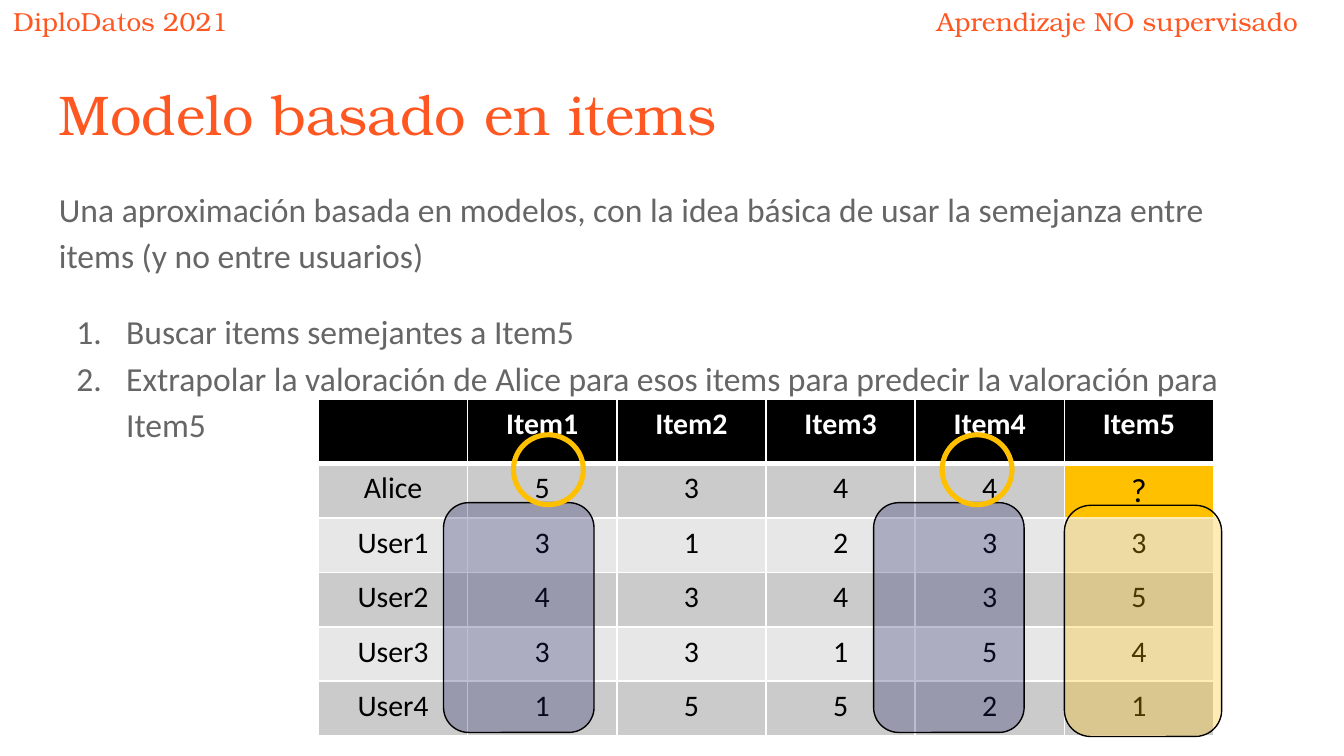
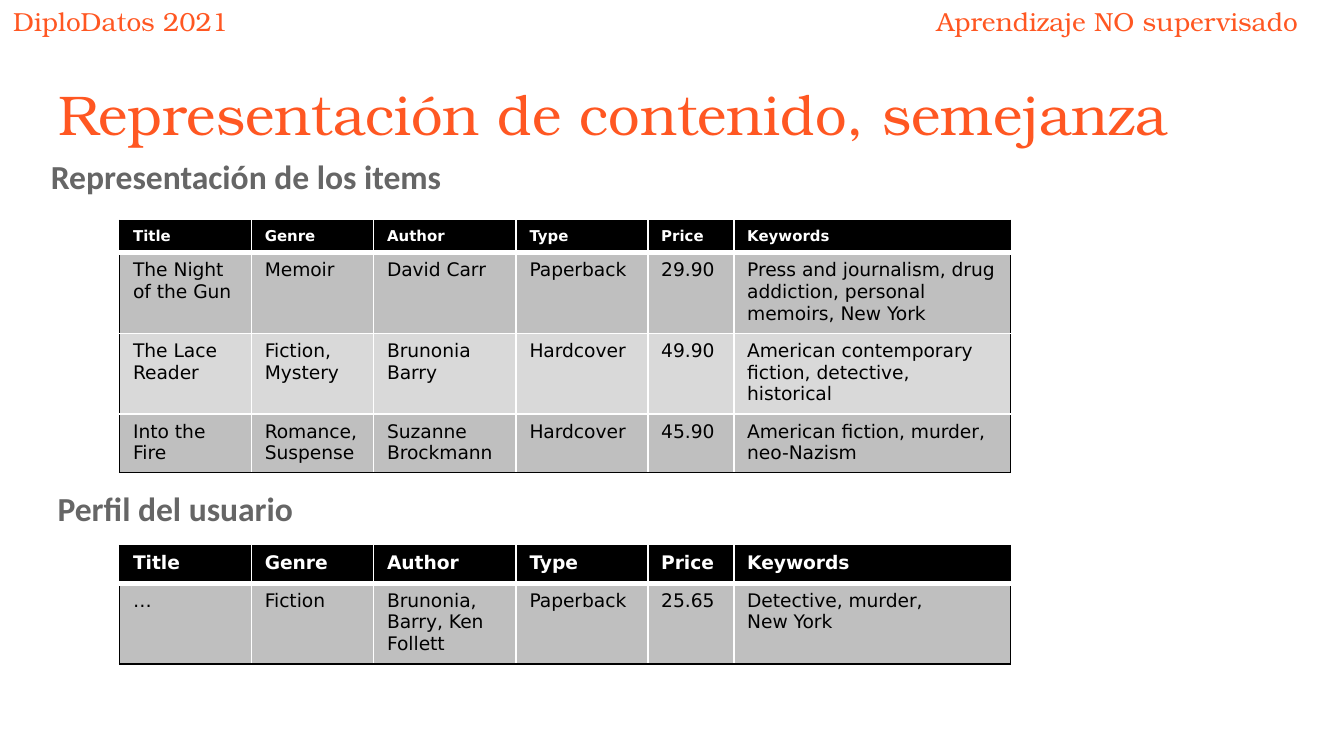
from lxml import etree
from pptx import Presentation, util as u
from pptx.dml.color import RGBColor
from pptx.enum import shapes, text
from pptx.oxml.ns import qn

# Square grid: 100 columns across the slide, 56.25 rows down
UNIT = u.Inches(10) // 100
COLUMNS, ROWS = 100, 56.25

ORANGE = RGBColor(0xFF, 0x57, 0x22)
GRAY = RGBColor(0x66, 0x66, 0x66)
BLACK = RGBColor(0, 0, 0)
WHITE = RGBColor(0xFF, 0xFF, 0xFF)
AMBER = RGBColor(0xFF, 0xC0, 0x00)
NAVY = RGBColor(0x22, 0x22, 0x68)
RATING_BANDS = (RGBColor(0xCB, 0xCB, 0xCB), RGBColor(0xE7, 0xE7, 0xE7))
BOOK_BANDS = (RGBColor(0xBF, 0xBF, 0xBF), RGBColor(0xD9, 0xD9, 0xD9))

SERIF, SANS, TABLE_SANS = "TeX Gyre Bonum", "Calibri", "DejaVu Sans"
THIN, THICK = 0.96, 3

RATINGS = [
    ["", "Item1", "Item2", "Item3", "Item4", "Item5"],
    ["Alice", "5", "3", "4", "4", "?"],
    ["User1", "3", "1", "2", "3", "3"],
    ["User2", "4", "3", "4", "3", "5"],
    ["User3", "3", "3", "1", "5", "4"],
    ["User4", "1", "5", "5", "2", "1"],
]
BOOK_HEADER = ["Title", "Genre", "Author", "Type", "Price", "Keywords"]
BOOKS = [
    BOOK_HEADER,
    ["The Night of the Gun", "Memoir", "David Carr", "Paperback", "29.90",
     "Press and journalism, drug addiction, personal memoirs, New York"],
    ["The Lace Reader", "Fiction, Mystery", "Brunonia Barry", "Hardcover", "49.90",
     "American contemporary fiction, detective, historical"],
    ["Into the Fire", "Romance, Suspense", "Suzanne Brockmann", "Hardcover", "45.90",
     "American fiction, murder, neo-Nazism"],
]
PROFILE = [
    BOOK_HEADER,
    ["…", "Fiction", "Brunonia, Barry, Ken Follett", "Paperback", "25.65",
     "Detective, murder,\vNew York"],
]
BOOK_COLUMNS = [9.8, 9.1, 10.6, 9.8, 6.4, 20.6]


def grid(*cells):
    return [round(cell * UNIT) for cell in cells]


def style(paragraph, font, size, color, bold=False):
    paragraph.font.name = font
    paragraph.font.size = u.Pt(size)
    paragraph.font.color.rgb = color
    paragraph.font.bold = bold


def add_text(slide, box, lines, font, size, color, bold=False, inset=1):
    frame = slide.shapes.add_textbox(*grid(*box)).text_frame
    frame.word_wrap = True
    frame.margin_left = frame.margin_right = UNIT
    frame.margin_top = frame.margin_bottom = round(inset * UNIT)
    frame.text = "\n".join(lines)
    for paragraph in frame.paragraphs:
        style(paragraph, font, size, color, bold)
    return frame


def number(paragraph, color):
    properties = paragraph._p.get_or_add_pPr()
    properties.set("marL", str(5 * UNIT))
    properties.set("indent", str(round(-3.7 * UNIT)))
    bullet_color = etree.SubElement(properties, qn("a:buClr"))
    etree.SubElement(bullet_color, qn("a:srgbClr"), val=str(color))
    # The numbering element precedes the run defaults in the schema
    numbering = etree.Element(qn("a:buAutoNum"), type="arabicPeriod")
    bullet_color.addnext(numbering)
    defaults = properties.find(qn("a:defRPr"))
    if defaults is not None:
        properties.append(defaults)


def set_borders(cell, borders):
    properties = cell._tc.get_or_add_tcPr()
    for side in "LRTB":
        color, width = borders[side]
        line = etree.SubElement(properties, qn(f"a:ln{side}"), w=str(u.Pt(width)))
        fill = etree.SubElement(line, qn("a:solidFill"))
        etree.SubElement(fill, qn("a:srgbClr"), val=str(color))


def add_grid_table(slide, corner, widths, heights, values, font, size, bands,
                   edge, header_size=None, align=text.PP_ALIGN.LEFT):
    """Table with a black header, banded rows and a coloured outer edge."""
    box = grid(*corner, sum(widths), sum(heights))
    table = slide.shapes.add_table(len(heights), len(widths), *box).table
    for column, width in zip(table.columns, grid(*widths)):
        column.width = width
    for row, height in zip(table.rows, grid(*heights)):
        row.height = height
    last_row, last_column = len(heights) - 1, len(widths) - 1
    for r, row in enumerate(values):
        header = r == 0
        for c, value in enumerate(row):
            cell = table.cell(r, c)
            cell.text = value
            paragraph = cell.text_frame.paragraphs[0]
            paragraph.alignment = align
            style(paragraph, font, (header_size or size) if header else size,
                  WHITE if header else BLACK, header)
            set_borders(cell, {
                "L": (edge if c == 0 else WHITE, THIN),
                "R": (edge if c == last_column else WHITE, THIN),
                "T": (edge if header else WHITE, THICK if r == 1 else THIN),
                "B": (edge if r == last_row else WHITE, THICK if header else THIN),
            })
            cell.fill.solid()
            cell.fill.fore_color.rgb = BLACK if header else bands[(r - 1) % 2]
    return table


def add_highlight(slide, box, color):
    shape = slide.shapes.add_shape(shapes.MSO_SHAPE.ROUNDED_RECTANGLE, *grid(*box))
    shape.shadow.inherit = False
    shape.fill.solid()
    shape.fill.fore_color.rgb = color
    fill_color = shape._element.spPr.find(qn("a:solidFill"))[0]
    etree.SubElement(fill_color, qn("a:alpha"), val="29000")
    shape.line.color.rgb = BLACK
    shape.line.width = u.Pt(0.75)


def add_ring(slide, left, top):
    ring = slide.shapes.add_shape(shapes.MSO_SHAPE.OVAL, *grid(left, top, 5.2, 5.2))
    ring.shadow.inherit = False
    ring.fill.background()
    ring.line.color.rgb = AMBER
    ring.line.width = u.Pt(2.75)


def add_slide(presentation, title):
    """Blank slide with the course header and a title."""
    slide = presentation.slides.add_slide(presentation.slide_layouts[6])
    add_text(slide, (0, -0.6, 20.4, 3.4), ["DiploDatos 2021"], SERIF, 14, ORANGE)
    add_text(slide, (68.7, -0.6, 31.7, 3.4), ["Aprendizaje NO supervisado"],
             SERIF, 14, ORANGE)
    add_text(slide, (3.4, 4.9, 93.2, 6.3), [title], SERIF, 30, ORANGE)
    return slide


def add_item_model(presentation):
    slide = add_slide(presentation, "Modelo basado en items")
    body = add_text(slide, (3.4, 12.6, 93.2, 37.4), [
        "Una aproximación basada en modelos, con la idea básica de usar la "
        "semejanza entre items (y no entre usuarios)",
        "Buscar items semejantes a Item5",
        "Extrapolar la valoración de Alice para esos items para predecir la "
        "valoración para Item5",
    ], SANS, 18, GRAY)
    for paragraph in body.paragraphs[1:]:
        number(paragraph, GRAY)
    for paragraph in body.paragraphs:
        paragraph.line_spacing = 1.15
    body.paragraphs[1].space_before = u.Pt(16)

    # Ratings, with the unknown one marked
    table = add_grid_table(slide, (23.7, 29.7), [11.1] * 6, [4.8] + [4.05] * 5,
                           RATINGS, SANS, 16, RATING_BANDS, WHITE,
                           align=text.PP_ALIGN.CENTER)
    unknown = table.cell(1, 5)
    unknown.fill.fore_color.rgb = AMBER
    unknown.text_frame.paragraphs[0].font.size = u.Pt(18)

    # Target column, similar columns and Alice's ratings for them
    add_highlight(slide, (79.2, 37.6, 11.7, 17.2), AMBER)
    for left in (33, 65):
        add_highlight(slide, (left, 37.4, 11.2, 17.1), NAVY)
    for left in (38.2, 70.1):
        add_ring(slide, left, 32.35)


def add_content_similarity(presentation):
    slide = add_slide(presentation, "Representación de contenido, semejanza")
    sections = [
        ("Representación de los items", (2.8, 11.1), 16.4, [2.4, 5.9, 6, 4.3], BOOKS, 8),
        ("Perfil del usuario", (3.3, 35.8), 40.6, [2.8, 5.8], PROFILE, 10),
    ]
    for heading, corner, table_top, heights, values, header_size in sections:
        add_text(slide, (*corner, 90, 4.7), [heading], SANS, 18, GRAY,
                 bold=True, inset=0.5)
        add_grid_table(slide, (8.9, table_top), BOOK_COLUMNS, heights, values,
                       TABLE_SANS, 10, BOOK_BANDS, BLACK, header_size)


def main():
    presentation = Presentation()
    presentation.slide_width, presentation.slide_height = grid(COLUMNS, ROWS)
    add_item_model(presentation)
    add_content_similarity(presentation)
    presentation.save("out.pptx")


if __name__ == "__main__":
    main()
